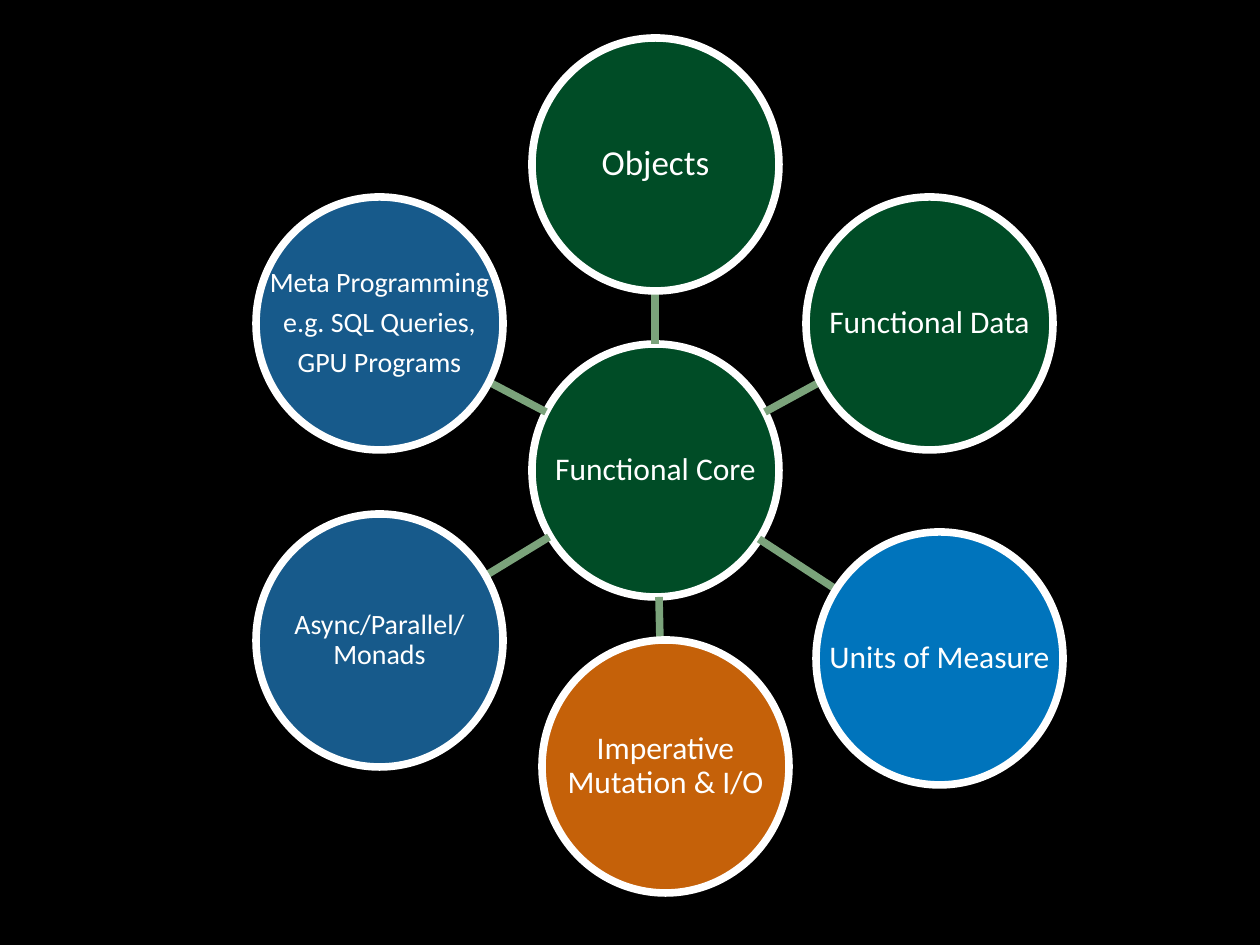
from dataclasses import dataclass

from lxml.etree import SubElement
from pptx import Presentation
from pptx.dml.color import RGBColor
from pptx.enum.shapes import MSO_CONNECTOR, MSO_SHAPE
from pptx.enum.text import MSO_ANCHOR, PP_ALIGN
from pptx.oxml.ns import qn
from pptx.util import Pt


@dataclass(frozen=True)
class Theme:
    font: str = "Calibri"
    background: RGBColor = RGBColor(0x00, 0x00, 0x00)
    white: RGBColor = RGBColor(0xFF, 0xFF, 0xFF)
    green: RGBColor = RGBColor(0x00, 0x4C, 0x26)
    blue: RGBColor = RGBColor(0x00, 0x74, 0xBC)
    navy: RGBColor = RGBColor(0x17, 0x5A, 0x8B)
    orange: RGBColor = RGBColor(0xC5, 0x61, 0x09)
    spoke: RGBColor = RGBColor(0x7B, 0xA3, 0x7B)
    large: int = 20
    medium: int = 18
    small: int = 16
    line_width: float = 4.33


theme = Theme()
PX = 914400 / 126
CIRCLE_WIDTH, CIRCLE_HEIGHT = 247, 253


def px(*lengths):
    return [round(length * PX) for length in lengths]


def add_circle(slide, left, top, color, size, lines):
    """Draw a circle with its label in a text box as wide as the circle."""
    bounds = px(left, top, CIRCLE_WIDTH, CIRCLE_HEIGHT)
    circle = slide.shapes.add_shape(MSO_SHAPE.OVAL, *bounds)
    circle.shadow.inherit = False
    circle.fill.solid()
    circle.fill.fore_color.rgb = color
    circle.line.color.rgb = theme.white
    circle.line.width = Pt(theme.line_width)

    frame = slide.shapes.add_textbox(*bounds).text_frame
    frame.word_wrap = True
    frame.vertical_anchor = MSO_ANCHOR.MIDDLE
    frame.margin_left = frame.margin_right = frame.margin_top = frame.margin_bottom = px(1)[0]
    for index, line in enumerate(lines):
        paragraph = frame.add_paragraph() if index else frame.paragraphs[0]
        paragraph.alignment = PP_ALIGN.CENTER
        paragraph.line_spacing = 0.9
        paragraph.space_after = Pt(size * 0.35)
        run = paragraph.add_run()
        run.text = line
        run.font.name = theme.font
        run.font.size = Pt(size)
        run.font.color.rgb = theme.white


presentation = Presentation()
presentation.slide_width, presentation.slide_height = px(1260, 945)
slide = presentation.slides.add_slide(presentation.slide_layouts[6])
slide.background.fill.solid()
slide.background.fill.fore_color.rgb = theme.background

add_circle(slide, 532, 344, theme.green, theme.medium, ["Functional Core"])

# Clockwise from the top: spoke ends, circle corner, colour, type size, label
satellites = [
    ((655, 344, 655, 291), (532, 38), theme.green, theme.large, ["Objects"]),
    ((765, 412, 820, 382), (806, 197), theme.green, theme.medium, ["Functional Data"]),
    ((759, 539, 837, 590), (816, 532), theme.blue, theme.medium, ["Units of Measure"]),
    ((659, 597, 660, 640), (542, 640), theme.orange, theme.medium,
     ["Imperative Mutation & I/O"]),
    ((549, 537, 485, 576), (256, 514), theme.navy, theme.small, ["Async/Parallel/Monads"]),
    ((546, 412, 489, 382), (256, 197), theme.navy, theme.small,
     ["Meta Programming", "e.g. SQL Queries,", "GPU Programs"]),
]
for spoke_ends, corner, color, size, lines in satellites:
    spoke = slide.shapes.add_connector(MSO_CONNECTOR.STRAIGHT, *px(*spoke_ends))
    spoke.line.color.rgb = theme.spoke
    spoke.line.width = Pt(theme.line_width)
    SubElement(spoke.element.spPr, qn("a:effectLst"))
    add_circle(slide, *corner, color, size, lines)

presentation.save("out.pptx")
